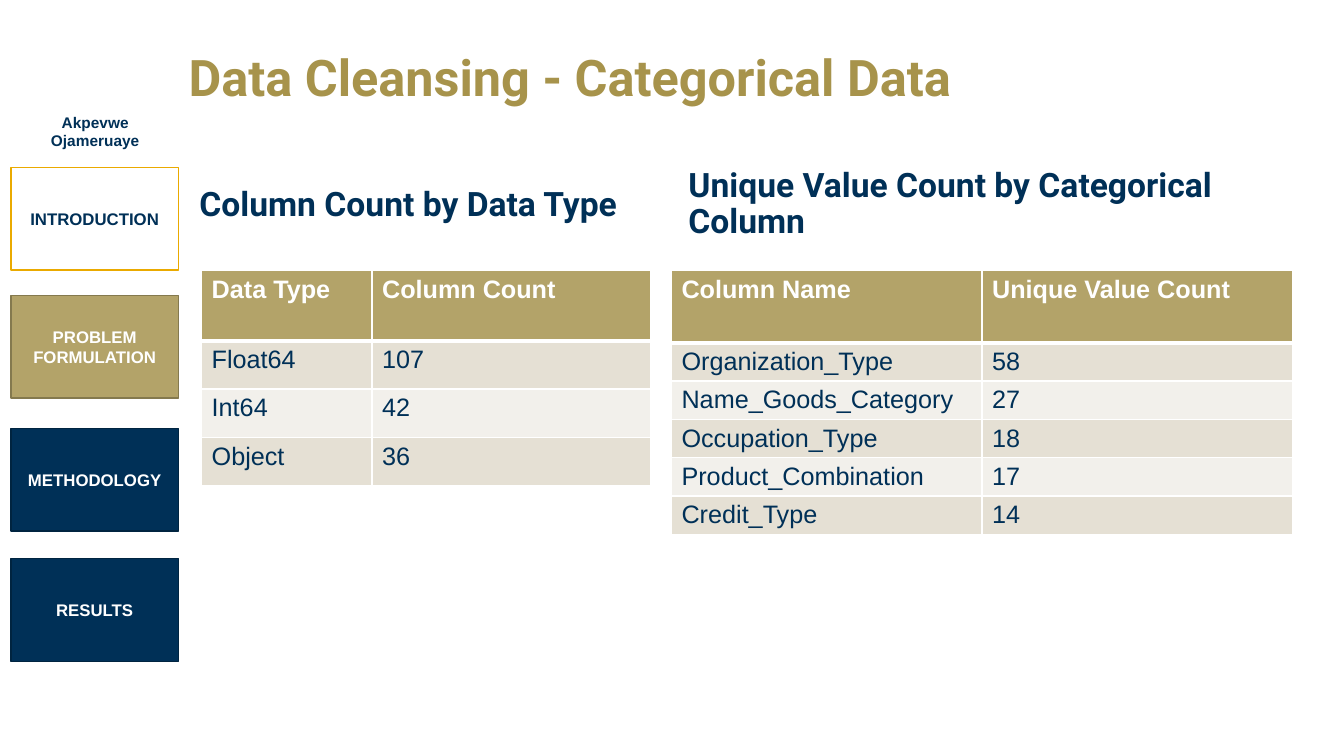
"""Build the categorical data cleansing slide."""
from lxml import etree
from pptx import Presentation, util as u
from pptx.dml import color
from pptx.enum import shapes, text
from pptx.oxml import ns

COLORS = {
    "navy": "003057", "navy_edge": "002440", "gold": "B3A369", "gold_edge": "84794E",
    "title": "A7934B", "yellow": "EAAA00", "white": "FFFFFF",
    "band_dark": "E5E0D4", "band_light": "F2F0EB",
}
HEADING = {"name": "Roboto", "size": u.Pt(24), "bold": True}
TITLE = {**HEADING, "size": u.Pt(36)}
BUTTON = {"name": "Arial", "size": u.Pt(12), "bold": True}
AUTHOR = {**BUTTON, "size": u.Pt(11)}
CELL = {"name": "Arial", "size": u.Pt(18), "bold": False}
HEADER = {**CELL, "bold": True}

BUTTONS = [
    ("INTRODUCTION", 1.66, "white", "yellow", "navy"),
    ("PROBLEM FORMULATION", 2.93, "gold", "gold_edge", "white"),
    ("METHODOLOGY", 4.25, "navy", "navy_edge", "white"),
    ("RESULTS", 5.54, "navy", "navy_edge", "white"),
]
DATA_TYPES = [
    ("Data Type", "Column Count"), ("Float64", "107"), ("Int64", "42"), ("Object", "36"),
]
UNIQUE_VALUES = [
    ("Column Name", "Unique Value Count"), ("Organization_Type", "58"),
    ("Name_Goods_Category", "27"), ("Occupation_Type", "18"),
    ("Product_Combination", "17"), ("Credit_Type", "14"),
]


def rgb(name):
    """Return the named colour."""
    return color.RGBColor.from_string(COLORS[name])


class Page:
    """Hold the current slide and draw styled elements on it."""

    def __init__(self, deck):
        """Add a title-only slide to the deck."""
        self.slide = deck.slides.add_slide(deck.slide_layouts[5])

    def set_text(self, frame, words, style, ink, align="LEFT", anchor="TOP", spacing=1.0):
        """Put one formatted paragraph in a text frame."""
        frame.word_wrap = True
        frame.auto_size = text.MSO_AUTO_SIZE.NONE
        frame.vertical_anchor = text.MSO_ANCHOR[anchor]
        para = frame.paragraphs[0]
        para.alignment = text.PP_ALIGN[align]
        para.line_spacing = spacing
        self.add_span(para, words, style, ink)

    def add_span(self, para, words, style, ink):
        """Add a run with the given font style and colour."""
        span = para.add_run()
        span.text = words
        for name, value in style.items():
            setattr(span.font, name, value)
        span.font.color.rgb = rgb(ink)

    def title(self, words, left, top, width, height):
        """Place and format the title placeholder."""
        box = self.slide.shapes.title
        place = {"left": left, "top": top, "width": width, "height": height}
        for name, value in place.items():
            setattr(box, name, u.Inches(value))
        self.set_text(box.text_frame, words, TITLE, "title", anchor="MIDDLE", spacing=0.9)

    def label(self, words, place, style, **layout):
        """Add a navy text box."""
        box = self.slide.shapes.add_textbox(*map(u.Inches, place))
        self.set_text(box.text_frame, words, style, "navy", **layout)

    def button(self, words, top, fill, edge, ink):
        """Add a navigation rectangle."""
        box = self.slide.shapes.add_shape(
            shapes.MSO_SHAPE.RECTANGLE, *map(u.Inches, (0.11, top, 1.66, 1.02)))
        box.shadow.inherit = False
        box.fill.solid()
        box.fill.fore_color.rgb = rgb(fill)
        box.line.color.rgb = rgb(edge)
        box.line.width = u.Pt(1)
        self.set_text(box.text_frame, words, BUTTON, ink, "CENTER", "MIDDLE")

    def borders(self, cell, widths):
        """Draw white cell borders with widths in points by side."""
        properties = cell._tc.get_or_add_tcPr()
        for side, width in widths.items():
            line = etree.SubElement(properties, ns.qn(f"a:ln{side}"), w=str(u.Pt(width)))
            fill = etree.SubElement(line, ns.qn("a:solidFill"))
            etree.SubElement(fill, ns.qn("a:srgbClr"), val=COLORS["white"])

    def table(self, rows, left, top, widths, heights):
        """Add a table with a gold header and banded rows."""
        place = (left, top, sum(widths), sum(heights))
        grid = self.slide.shapes.add_table(
            len(rows), len(widths), *map(u.Inches, place)).table
        for column, width in zip(grid.columns, widths):
            column.width = u.Inches(width)
        for index, (row, height, values) in enumerate(zip(grid.rows, heights, rows)):
            row.height = u.Inches(height)
            band = "band_dark" if index % 2 else "band_light"
            fill, style, ink = (band, CELL, "navy") if index else ("gold", HEADER, "white")
            for cell, words in zip(row.cells, values):
                self.borders(cell, {"L": 1, "R": 1, "T": 3 if index == 1 else 1,
                                    "B": 1 if index else 3})
                cell.fill.solid()
                cell.fill.fore_color.rgb = rgb(fill)
                self.add_span(cell.text_frame.paragraphs[0], words, style, ink)


def main():
    """Build and save the deck."""
    deck = Presentation()
    deck.slide_width, deck.slide_height = u.Inches(13.33), u.Inches(7.5)
    page = Page(deck)
    page.title("Data Cleansing - Categorical Data", 1.77, 0.24, 12.5, 1.11)
    heading = {"style": HEADING, "anchor": "BOTTOM", "spacing": 0.9}
    page.label("Column Count by Data Type", (1.88, 1.37, 6.14, 0.9), **heading)
    page.table(DATA_TYPES, 2, 2.68, [1.69, 2.76], [0.7] + [0.48] * 3)
    page.label("Unique Value Count by Categorical Column", (6.73, 1.54, 6.17, 0.9), **heading)
    page.table(UNIQUE_VALUES, 6.66, 2.68, [3.08, 3.08], [0.72] + [0.38] * 5)
    for button in BUTTONS:
        page.button(*button)
    page.label("Akpevwe Ojameruaye", (0.31, 1.07, 1.27, 0.47), AUTHOR, align="CENTER")
    deck.save("out.pptx")


if __name__ == "__main__":
    main()
